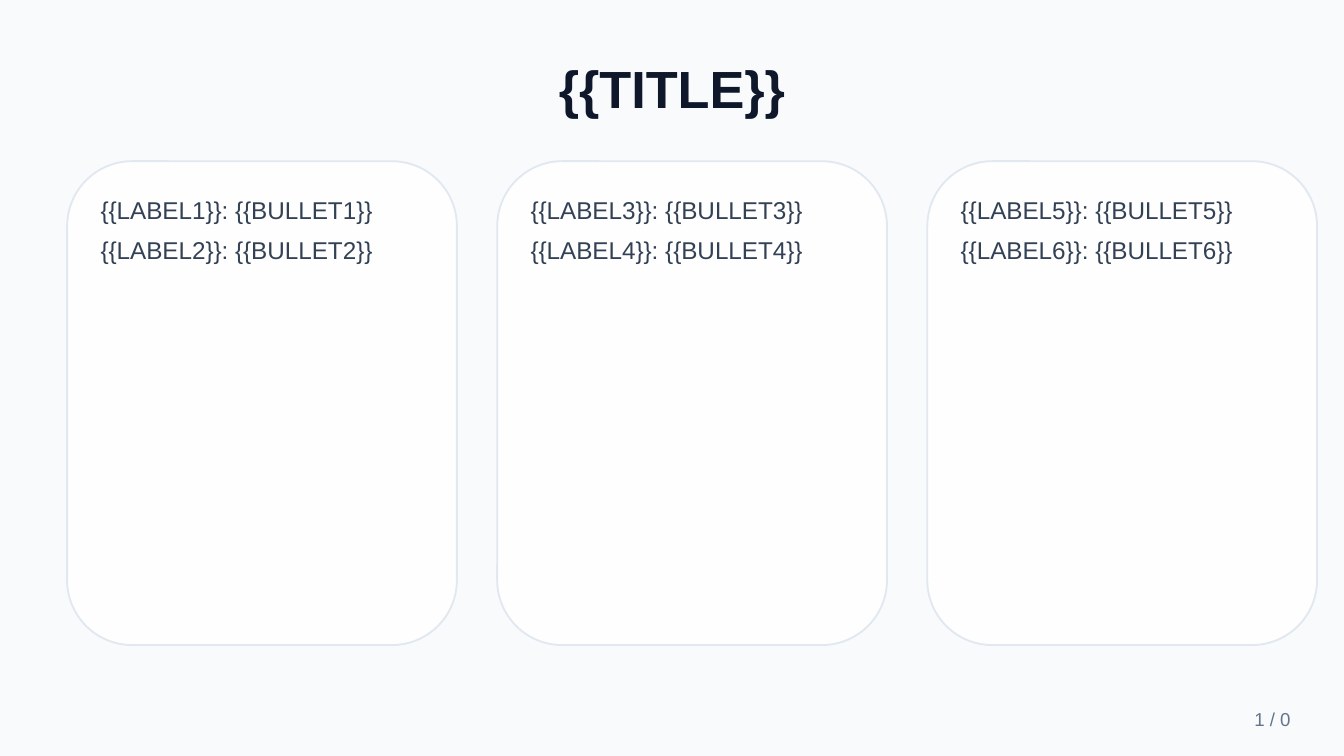
import pptx
import pptx.util
import pptx.dml.color
import pptx.enum.shapes
import pptx.enum.text
import lxml.etree

TITLE = "{{TITLE}}"
CARDS = [
    ["{{LABEL1}}: {{BULLET1}}", "{{LABEL2}}: {{BULLET2}}"],
    ["{{LABEL3}}: {{BULLET3}}", "{{LABEL4}}: {{BULLET4}}"],
    ["{{LABEL5}}: {{BULLET5}}", "{{LABEL6}}: {{BULLET6}}"],
]
PAGE = "1 / 0"

PX = 4572
LEFT, TOP, WIDTH, HEIGHT, GAP = 100, 240, 580, 720, 60
PAD_X, PAD_Y = 30, 40
ALIGN = pptx.enum.text.PP_ALIGN
ANCHOR = pptx.enum.text.MSO_ANCHOR


def color(code):
    return pptx.dml.color.RGBColor.from_string(code)


def scale(*box):
    return [n * PX for n in box]


def write(slide, box, lines, size, code, align=ALIGN.LEFT,
          anchor=ANCHOR.TOP, bold=False, after=0):
    frame = slide.shapes.add_textbox(*scale(*box)).text_frame
    frame.word_wrap = True
    frame.vertical_anchor = anchor
    frame.text = "\n".join(lines)
    for para in frame.paragraphs:
        para.alignment = align
        para.space_after = pptx.util.Pt(after)
        para.font.name = "Arial"
        para.font.size = pptx.util.Pt(size)
        para.font.bold = bold
        para.font.color.rgb = color(code)


def panel(slide, box):
    kind = pptx.enum.shapes.MSO_SHAPE.ROUNDED_RECTANGLE
    card = slide.shapes.add_shape(kind, *scale(*box))
    card.shadow.inherit = False
    card.fill.solid()
    card.fill.fore_color.rgb = color("FFFFFF")
    tag = pptx.oxml.ns.qn
    fill = card.fill._xPr.find(tag("a:solidFill"))
    lxml.etree.SubElement(fill[0], tag("a:alpha"), val="90000")
    card.line.color.rgb = color("E2E8F0")
    card.line.width = pptx.util.Pt(1)


def main():
    deck = pptx.Presentation()
    deck.slide_width, deck.slide_height = scale(2000, 1125)
    slide = deck.slides.add_slide(deck.slide_layouts[6])
    slide.background.fill.solid()
    slide.background.fill.fore_color.rgb = color("F8FAFC")

    write(slide, (100, 60, 1800, 140), [TITLE], 28, "0F172A",
          ALIGN.CENTER, ANCHOR.MIDDLE, bold=True)
    for i, lines in enumerate(CARDS):
        x = LEFT + i * (WIDTH + GAP)
        panel(slide, (x, TOP, WIDTH, HEIGHT))
        inner = (x + PAD_X, TOP + PAD_Y, WIDTH - 2 * PAD_X, HEIGHT - 2 * PAD_Y)
        write(slide, inner, lines, 13, "334155", after=6)
    write(slide, (1700, 1040, 240, 60), [PAGE], 10, "64748B",
          ALIGN.RIGHT, ANCHOR.MIDDLE)
    deck.save("out.pptx")


if __name__ == "__main__":
    main()
